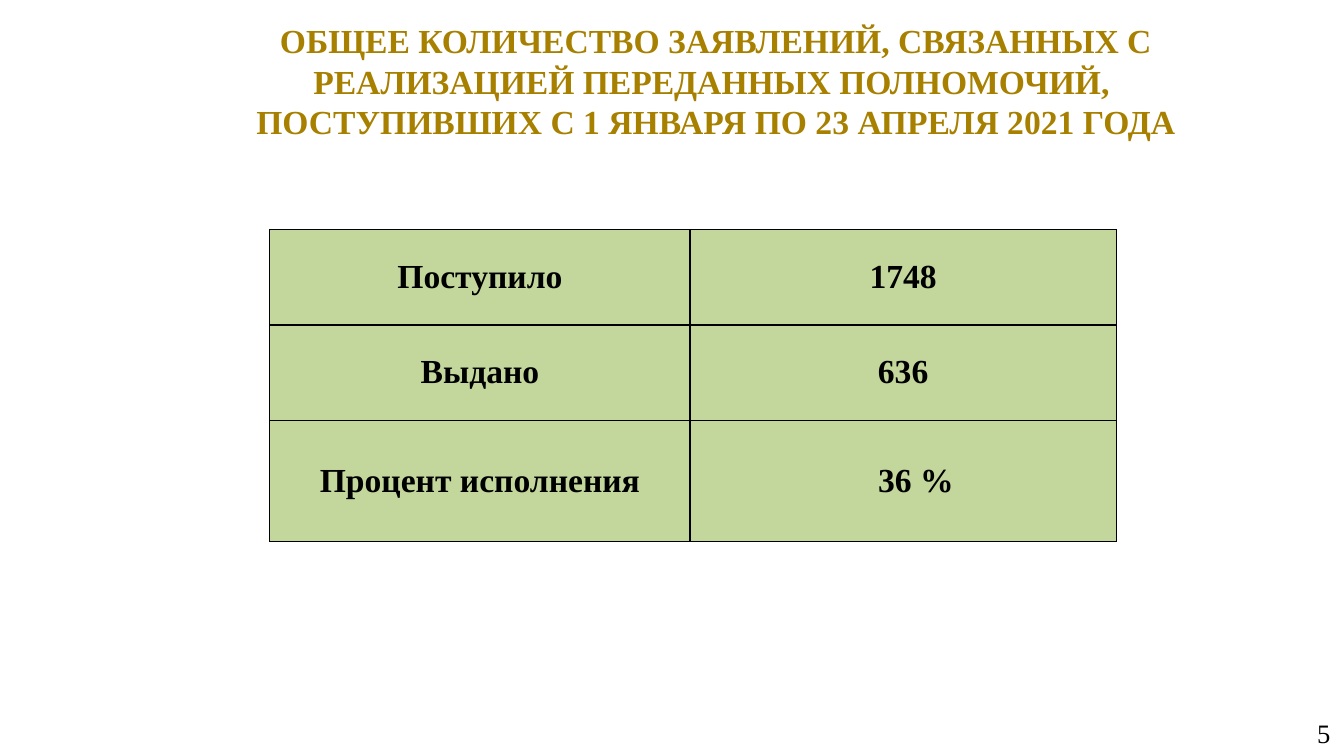
from dataclasses import dataclass

from lxml import etree
from pptx import Presentation
from pptx.dml.color import RGBColor
from pptx.enum.text import MSO_ANCHOR, MSO_AUTO_SIZE, PP_ALIGN
from pptx.oxml.ns import qn
from pptx.util import Cm, Pt

CENTER, RIGHT = PP_ALIGN.CENTER, PP_ALIGN.RIGHT
MIDDLE = MSO_ANCHOR.MIDDLE
NO_AUTOFIT = MSO_AUTO_SIZE.NONE
TITLE_ONLY = 5


@dataclass(frozen=True)
class Theme:
    font: str = "Times New Roman"
    heading: str = "A88000"
    ink: str = "000000"
    cell_fill: str = "C3D69B"
    main_size: float = 24
    number_size: float = 19
    border_width: float = 0.96
    side_margin: float = 0.33
    text_margin: float = 0.18
    cell_margin: float = 0.13


@dataclass(frozen=True)
class Row:
    label: str
    value: str
    height: float
    value_indent: float = 0


THEME = Theme()
COLUMN_WIDTHS = (10.59, 10.74)
ROWS = (
    Row("Поступило", "1748", 2.4),
    Row("Выдано", "636", 2.4),
    Row("Процент исполнения", "36 %", 3.05, value_indent=0.64),
)


def style_paragraph(para, align, size: float, color: str, bold: bool) -> None:
    para.alignment = align
    para.font.name = THEME.font
    para.font.size = Pt(size)
    para.font.bold = bold
    para.font.color.rgb = RGBColor.from_string(color)


def fill_box(box, text: str, align, size: float, color: str, bold: bool) -> None:
    frame = box.text_frame
    frame.word_wrap = True
    frame.auto_size = NO_AUTOFIT
    frame.vertical_anchor = MIDDLE
    frame.margin_left = frame.margin_right = Cm(THEME.side_margin)
    frame.margin_top = frame.margin_bottom = Cm(THEME.text_margin)
    frame.text = text
    for para in frame.paragraphs:
        style_paragraph(para, align, size, color, bold)


def add_borders(cell) -> None:
    properties = cell._tc.get_or_add_tcPr()
    for index, side in enumerate(("a:lnL", "a:lnR", "a:lnT", "a:lnB")):
        line = etree.Element(qn(side), w=str(Pt(THEME.border_width)))
        fill = etree.SubElement(line, qn("a:solidFill"))
        etree.SubElement(fill, qn("a:srgbClr"), val=THEME.ink)
        properties.insert(index, line)


def fill_cell(cell, text: str, indent: float) -> None:
    cell.text = text
    cell.vertical_anchor = MIDDLE
    cell.margin_left = Cm(THEME.side_margin + indent)
    cell.margin_right = Cm(THEME.side_margin)
    cell.margin_top = cell.margin_bottom = Cm(THEME.cell_margin)
    cell.fill.solid()
    cell.fill.fore_color.rgb = RGBColor.from_string(THEME.cell_fill)
    style_paragraph(cell.text_frame.paragraphs[0], CENTER, THEME.main_size, THEME.ink, True)
    add_borders(cell)


def add_results_table(page) -> None:
    table = page.shapes.add_table(
        len(ROWS), len(COLUMN_WIDTHS), Cm(6.8), Cm(5.79),
        Cm(sum(COLUMN_WIDTHS)), Cm(sum(row.height for row in ROWS)),
    ).table
    table.first_row = table.horz_banding = False
    for column, width in zip(table.columns, COLUMN_WIDTHS):
        column.width = Cm(width)
    for index, row in enumerate(ROWS):
        table.rows[index].height = Cm(row.height)
        fill_cell(table.cell(index, 0), row.label, 0)
        fill_cell(table.cell(index, 1), row.value, row.value_indent)


def main() -> None:
    deck = Presentation()
    deck.slide_width, deck.slide_height = Cm(33.87), Cm(19.05)
    page = deck.slides.add_slide(deck.slide_layouts[TITLE_ONLY])

    # Heading
    title = page.shapes.title
    title.left, title.top, title.width, title.height = Cm(3.51), Cm(0.76), Cm(29.06), Cm(2.54)
    heading = (
        "ОБЩЕЕ КОЛИЧЕСТВО ЗАЯВЛЕНИЙ, СВЯЗАННЫХ С РЕАЛИЗАЦИЕЙ ПЕРЕДАННЫХ ПОЛНОМОЧИЙ, \v"
        "ПОСТУПИВШИХ С 1 ЯНВАРЯ ПО 23 АПРЕЛЯ 2021 ГОДА"
    )
    fill_box(title, heading, CENTER, THEME.main_size, THEME.heading, True)

    # Page number
    number = page.shapes.add_textbox(Cm(25.96), Cm(17.96), Cm(7.9), Cm(1.02))
    fill_box(number, "5", RIGHT, THEME.number_size, THEME.ink, False)

    # Results
    add_results_table(page)

    deck.save("out.pptx")


if __name__ == "__main__":
    main()
